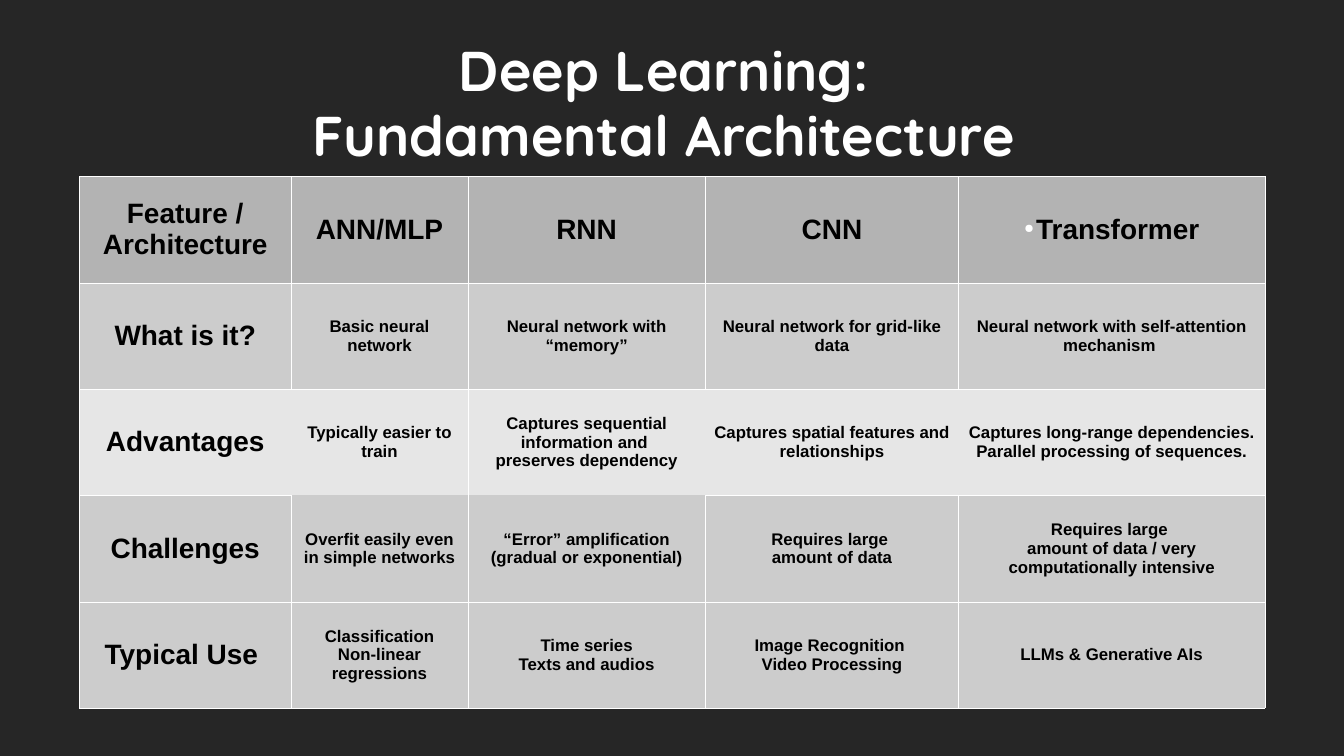
from lxml.etree import SubElement
from pptx import Presentation
from pptx.dml.color import RGBColor
from pptx.enum.text import MSO_ANCHOR, MSO_AUTO_SIZE, PP_ALIGN
from pptx.oxml.ns import qn
from pptx.util import Inches, Pt

COLORS = {
    "background": "262626",
    "white": "FFFFFF",
    "black": "000000",
    "header": "B3B3B3",
    "row": "CCCCCC",
    "highlight": "E6E6E6",
}

# "\n" starts a paragraph, "\v" breaks a line.
TITLE = "Deep Learning: \vFundamental Architecture "
ROWS = [
    ("Feature / Architecture", "ANN/MLP", "RNN", "CNN", "Transformer"),
    ("What is it?", "Basic neural network", "Neural network with “memory”",
     "Neural network for grid-like data",
     "Neural network with self-attention mechanism "),
    ("Advantages", "Typically easier to train",
     "Captures sequential information and \vpreserves dependency",
     "Captures spatial features and relationships",
     "Captures long-range dependencies. Parallel processing of sequences."),
    ("Challenges", "Overfit easily even in simple networks",
     "“Error” amplification (gradual or exponential)",
     "Requires large \vamount of data",
     "Requires large \vamount of data / very computationally intensive"),
    ("Typical Use ", "Classification\nNon-linear regressions",
     "Time series\vTexts and audios",
     "Image Recognition \vVideo Processing", "LLMs & Generative AIs"),
]
ROW_FILLS = ["header", "row", "highlight", "row", "row"]
COLUMN_WIDTHS = [4.21, 3.5, 4.72, 5.02, 6.08]
ROW_HEIGHT = 2.11
BORDER_WIDTH = Pt(0.06)
# Cell sides without a line, by (row, column)
OPEN_SIDES = {
    (2, 0): "R", (2, 1): "LB", (2, 2): "RB", (2, 3): "LR", (2, 4): "L",
    (3, 1): "T", (3, 2): "T",
}


def rgb(name):
    return RGBColor.from_string(COLORS[name])


def write(text_frame, text, *, size, font="Arial", color="black", spacing=None):
    text_frame.text = text
    for paragraph in text_frame.paragraphs:
        paragraph.alignment = PP_ALIGN.CENTER
        paragraph.line_spacing = spacing
        for run in paragraph.runs:
            run.font.name = font
            run.font.size = Pt(size)
            run.font.bold = True
            run.font.color.rgb = rgb(color)


def add_borders(cell, open_sides):
    """Line the cell's sides; the border elements must precede its fill."""
    properties = cell._tc.get_or_add_tcPr()
    for side in "LRTB":
        line = SubElement(properties, qn(f"a:ln{side}"), w=str(BORDER_WIDTH))
        if side in open_sides:
            SubElement(line, qn("a:noFill"))
        else:
            fill = SubElement(line, qn("a:solidFill"))
            SubElement(fill, qn("a:srgbClr"), val=COLORS["white"])


def add_bullet(paragraph):
    properties = paragraph._p.get_or_add_pPr()
    properties.set("marL", str(Inches(0.24)))
    properties.set("indent", str(Inches(-0.24)))
    color = SubElement(properties, qn("a:buClr"))
    SubElement(color, qn("a:srgbClr"), val=COLORS["white"])
    SubElement(properties, qn("a:buSzPct"), val="45000")
    SubElement(properties, qn("a:buChar"), char="●")


def add_title(slide):
    title = slide.shapes.title
    title.left, title.top = Inches(1.33), Inches(0.75)
    title.width, title.height = Inches(24), Inches(2.5)
    title.text_frame.auto_size = MSO_AUTO_SIZE.NONE
    title.text_frame.vertical_anchor = MSO_ANCHOR.TOP
    write(title.text_frame, TITLE, size=80, font="Quicksand", color="white",
          spacing=0.96)


def add_comparison_table(slide):
    table = slide.shapes.add_table(
        len(ROWS), len(COLUMN_WIDTHS), Inches(1.57), Inches(3.5),
        Inches(sum(COLUMN_WIDTHS)), Inches(ROW_HEIGHT * len(ROWS))).table
    table.first_row = table.horz_banding = False
    for column, width in zip(table.columns, COLUMN_WIDTHS):
        column.width = Inches(width)
    for row_index, texts in enumerate(ROWS):
        table.rows[row_index].height = Inches(ROW_HEIGHT)
        for column_index, text in enumerate(texts):
            cell = table.cell(row_index, column_index)
            is_heading = row_index == 0 or column_index == 0
            write(cell.text_frame, text, size=40 if is_heading else 24)
            cell.vertical_anchor = MSO_ANCHOR.MIDDLE
            add_borders(cell, OPEN_SIDES.get((row_index, column_index), ""))
            cell.fill.solid()
            cell.fill.fore_color.rgb = rgb(ROW_FILLS[row_index])
    add_bullet(table.cell(0, len(COLUMN_WIDTHS) - 1).text_frame.paragraphs[0])


def main():
    presentation = Presentation()
    presentation.slide_width = Inches(26.67)
    presentation.slide_height = Inches(15)
    slide = presentation.slides.add_slide(presentation.slide_layouts[5])
    slide.background.fill.solid()
    slide.background.fill.fore_color.rgb = rgb("background")
    add_title(slide)
    add_comparison_table(slide)
    presentation.save("out.pptx")


if __name__ == "__main__":
    main()
